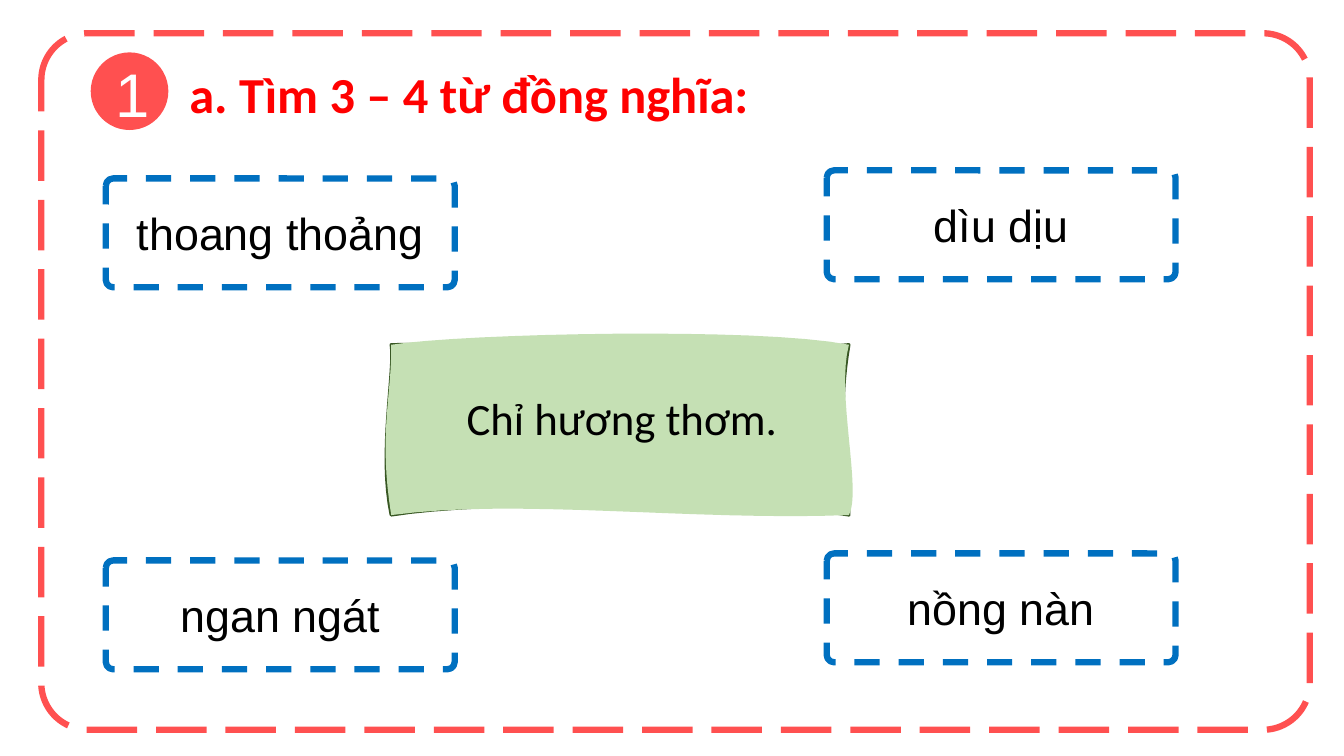
"""Build a vocabulary slide on synonyms for fragrance."""
import pptx
import pptx.dml.color
import pptx.enum.dml
import pptx.enum.shapes
import pptx.enum.text
import pptx.util
from lxml import etree
from pptx.util import Inches

RGBColor = pptx.dml.color.RGBColor
SHAPE = pptx.enum.shapes.MSO_SHAPE
ALIGN = pptx.enum.text.PP_ALIGN
DASH = pptx.enum.dml.MSO_LINE

CORAL = RGBColor(0xFF, 0x50, 0x50)
RED = RGBColor(0xFF, 0x00, 0x00)
BLUE = RGBColor(0x00, 0x70, 0xC0)
GREEN = RGBColor(0xC5, 0xE0, 0xB4)
DARK_GREEN = RGBColor(0x38, 0x57, 0x23)
WHITE = RGBColor(0xFF, 0xFF, 0xFF)
BLACK = RGBColor(0x00, 0x00, 0x00)

CARD_SIZE = (3.46, 1.08)
WORD_CARDS = (
    ("thoang thoảng", 1.05, 1.77),
    ("dìu dịu", 8.2, 1.69),
    ("ngan ngát", 1.05, 5.56),
    ("nồng nàn", 8.2, 5.49),
)
CORNERS = ((3.88, 3.42), (8.42, 3.42), (8.42, 5.11), (3.88, 5.11))
EDGE_BENDS = (
    ((5.6, 3.38), (6.94, 3.57)),
    ((8.31, 4.07), (8.39, 4.4)),
    ((7.62, 4.96), (4.75, 4.96)),
    ((3.75, 4.5), (3.92, 3.67)),
)
BODY_BENDS = (
    ((4.58, 3.31), (7.51, 3.24)),
    ((8.29, 3.9), (8.55, 4.87)),
    ((6.86, 5.17), (5.13, 4.94)),
    ((3.75, 4.3), (3.89, 3.9)),
)
CURVE_STEPS = 16


def write(frame, text, size, font, color, align=ALIGN.LEFT, bold=False):
    """Put one formatted line of text in a frame."""
    frame.text = text
    frame.word_wrap = True
    line = frame.paragraphs[0]
    line.alignment = align
    run_font = line.runs[0].font
    run_font.size = pptx.util.Pt(size)
    run_font.name = font
    run_font.bold = bold
    run_font.color.rgb = color


def add_label(slide, box, *style, **options):
    """Add a text box with one formatted line."""
    label = slide.shapes.add_textbox(*map(Inches, box))
    write(label.text_frame, *style, **options)


def add_dashed_frame(slide, box, color, dash):
    """Add a rounded, nearly opaque white frame with a dashed border."""
    frame = slide.shapes.add_shape(SHAPE.ROUNDED_RECTANGLE, *map(Inches, box))
    frame.adjustments[0] = 0.067
    frame.shadow.inherit = False
    frame.fill.solid()
    frame.fill.fore_color.rgb = WHITE
    white = frame.fill._xPr.find(".//" + pptx.oxml.ns.qn("a:srgbClr"))
    etree.SubElement(white, pptx.oxml.ns.qn("a:alpha"), val="94000")
    frame.line.color.rgb = color
    frame.line.width = pptx.util.Pt(4.5)
    frame.line.dash_style = dash
    return frame


def add_number(slide):
    """Add the exercise number on its disc."""
    disc = slide.shapes.add_shape(SHAPE.OVAL, *map(Inches, (0.9, 0.52, 0.77, 0.77)))
    disc.shadow.inherit = False
    disc.fill.solid()
    disc.fill.fore_color.rgb = CORAL
    disc.line.fill.background()
    add_label(slide, (1.05, 0.51, 0.61, 0.84), "1", 44, "Arial", WHITE)


def curve_points(start, bends, end):
    """Return the points along a cubic curve, without its start."""
    controls = (start, *bends, end)
    points = []
    for step in range(1, CURVE_STEPS + 1):
        t = step / CURVE_STEPS
        weights = ((1 - t) ** 3, 3 * t * (1 - t) ** 2, 3 * t * t * (1 - t), t ** 3)
        points.append(tuple(
            Inches(sum(w * c[axis] for w, c in zip(weights, controls)))
            for axis in (0, 1)
        ))
    return points


def add_wavy_panel(slide, edge_bends):
    """Add a closed four-sided panel with curved edges."""
    builder = slide.shapes.build_freeform(*map(Inches, CORNERS[0]))
    ends = CORNERS[1:] + CORNERS[:1]
    for start, bends, end in zip(CORNERS, edge_bends, ends):
        builder.add_line_segments(curve_points(start, bends, end), close=False)
    builder.add_line_segments([], close=True)
    panel = builder.convert_to_shape()
    panel.shadow.inherit = False
    return panel


def add_meaning(slide):
    """Add the central green panel with the shared meaning."""
    edge = add_wavy_panel(slide, EDGE_BENDS)
    edge.fill.background()
    edge.line.color.rgb = DARK_GREEN
    edge.line.width = pptx.util.Pt(2.25)
    body = add_wavy_panel(slide, BODY_BENDS)
    body.fill.solid()
    body.fill.fore_color.rgb = GREEN
    body.line.fill.background()
    add_label(slide, (3.83, 3.83, 4.68, 0.64), "Chỉ hương thơm.", 32, "Calibri",
              BLACK, align=ALIGN.CENTER)


def add_word_card(slide, word, left, top):
    """Add one synonym in a blue dashed card."""
    card = add_dashed_frame(slide, (left, top, *CARD_SIZE), BLUE, DASH.DASH)
    write(card.text_frame, word, 32, "Arial", BLACK, align=ALIGN.CENTER)
    card.text_frame.vertical_anchor = pptx.enum.text.MSO_ANCHOR.MIDDLE


def main():
    """Build and save the slide."""
    deck = pptx.Presentation()
    deck.slide_width = Inches(13.33)
    deck.slide_height = Inches(7.5)
    slide = deck.slides.add_slide(deck.slide_layouts[6])
    add_dashed_frame(slide, (0.41, 0.33, 12.58, 6.91), CORAL, DASH.LONG_DASH)
    add_number(slide)
    add_label(slide, (1.78, 0.58, 10.26, 0.71), "a. Tìm 3 – 4 từ đồng nghĩa:",
              36, "Calibri", RED, align=ALIGN.JUSTIFY, bold=True)
    add_meaning(slide)
    for word, left, top in WORD_CARDS:
        add_word_card(slide, word, left, top)
    deck.save("out.pptx")


if __name__ == "__main__":
    main()
